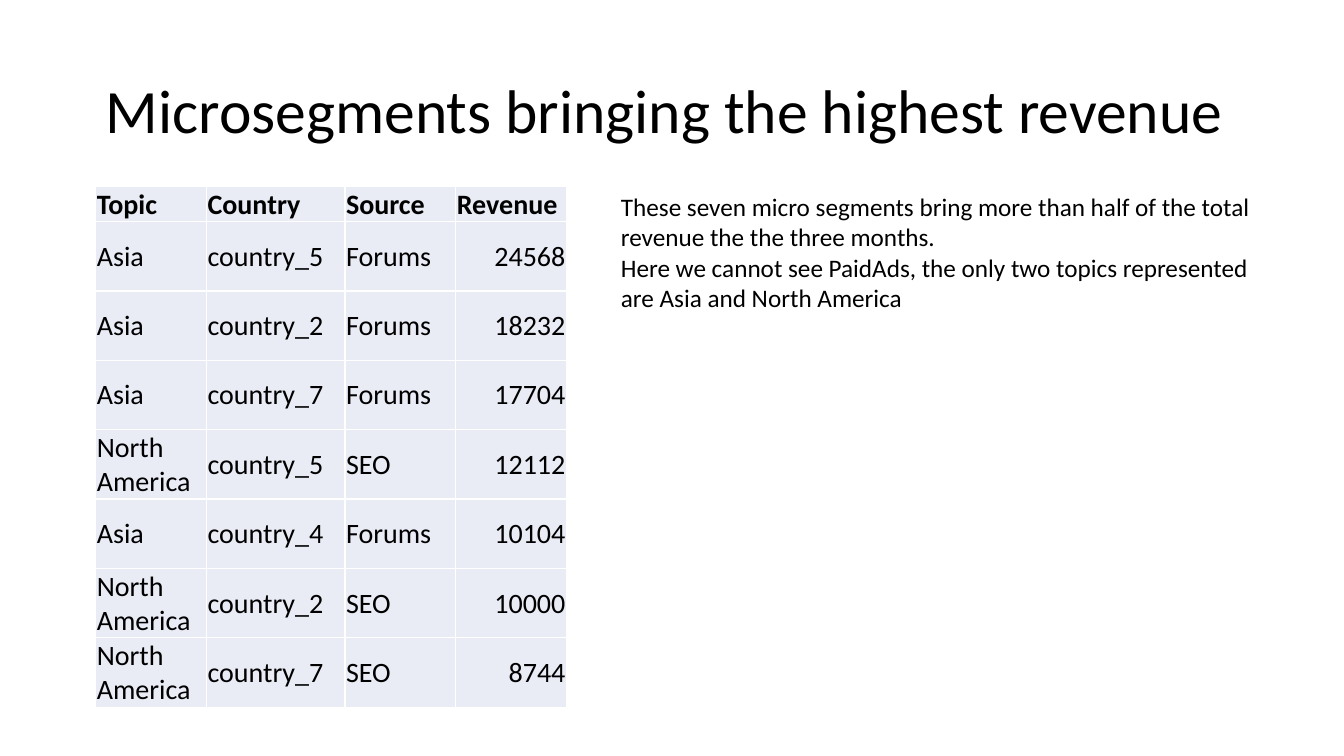
from pptx import Presentation, util as u
from pptx.dml.color import RGBColor
from pptx.enum import text
from pptx.oxml import parse_xml
from pptx.oxml.ns import nsdecls

FONT = "Calibri"
BLACK, WHITE, PALE_BLUE = "000000", "FFFFFF", "E9EBF5"
SLIDE_WIDTH, SLIDE_HEIGHT = u.Inches(13.33), u.Inches(7.5)
COLUMN_SHARES = (4, 5, 4, 4)
HEADER = ("Topic", "Country", "Source", "Revenue")
SEGMENTS = (
    ("Asia", "country_5", "Forums", 24568),
    ("Asia", "country_2", "Forums", 18232),
    ("Asia", "country_7", "Forums", 17704),
    ("North America", "country_5", "SEO", 12112),
    ("Asia", "country_4", "Forums", 10104),
    ("North America", "country_2", "SEO", 10000),
    ("North America", "country_7", "SEO", 8744),
)
COMMENTS = (
    "These seven micro segments bring more than half of the total revenue the the three months.",
    "Here we cannot see PaidAds, the only two topics represented are Asia and North America",
)


def area(left, top, width, height):
    """Turn percentages of the slide into a left, top, width and height."""
    return (int(SLIDE_WIDTH * left / 100), int(SLIDE_HEIGHT * top / 100),
            int(SLIDE_WIDTH * width / 100), int(SLIDE_HEIGHT * height / 100))


def paint(color_format, color):
    """Give a fill or font colour its hex value."""
    color_format.rgb = RGBColor.from_string(color)


def format_runs(paragraph, size, bold=False):
    """Format every run of a paragraph."""
    for run in paragraph.runs:
        run.font.name = FONT
        run.font.size = u.Pt(size)
        run.font.bold = bold
        paint(run.font.color, BLACK)


def add_title(slide, wording):
    """Fill and place the title placeholder."""
    title = slide.shapes.title
    title.left, title.top, title.width, title.height = area(7.13, 5.33, 86.27, 19.33)
    frame = title.text_frame
    frame.text = wording
    frame.vertical_anchor = text.MSO_ANCHOR.MIDDLE
    paragraph = frame.paragraphs[0]
    paragraph.alignment = text.PP_ALIGN.LEFT
    paragraph.line_spacing = 0.9
    format_runs(paragraph, 44)


def fill_cell(cell, value, is_header):
    """Write one table cell with its margins, borders and fill."""
    cell.text = str(value)
    cell.margin_left = cell.margin_right = cell.margin_top = u.Inches(0.01)
    cell.margin_bottom = 0
    cell.vertical_anchor = text.MSO_ANCHOR.BOTTOM if is_header else text.MSO_ANCHOR.MIDDLE
    paragraph = cell.text_frame.paragraphs[0]
    if isinstance(value, int):
        paragraph.alignment = text.PP_ALIGN.RIGHT
    format_runs(paragraph, 20, bold=is_header)
    for side in "LRTB":
        cell._tc.get_or_add_tcPr().append(parse_xml(
            f'<a:ln{side} {nsdecls("a")} w="{u.Pt(1)}"><a:solidFill>'
            f'<a:srgbClr val="{WHITE}"/></a:solidFill></a:ln{side}>'))
    cell.fill.solid()
    paint(cell.fill.fore_color, PALE_BLUE)


def add_segment_table(slide):
    """Add the revenue table, with body rows twice as high as the header."""
    rows = (HEADER, *SEGMENTS)
    row_shares = [1] + [2] * len(SEGMENTS)
    left, top, width, height = area(7.13, 24.67, 35.03, 68.67)
    table = slide.shapes.add_table(len(rows), len(HEADER), left, top, width, height).table
    for column, share in zip(table.columns, COLUMN_SHARES):
        column.width = width * share // sum(COLUMN_SHARES)
    for row_index, (row, share) in enumerate(zip(rows, row_shares)):
        table.rows[row_index].height = height * share // sum(row_shares)
        for column_index, value in enumerate(row):
            fill_cell(table.cell(row_index, column_index), value, row_index == 0)


def add_comments(slide):
    """Add the remarks beside the table."""
    frame = slide.shapes.add_textbox(*area(45.46, 24.67, 49.36, 17.47)).text_frame
    frame.word_wrap = True
    frame.auto_size = text.MSO_AUTO_SIZE.SHAPE_TO_FIT_TEXT
    frame.text = "\n".join(COMMENTS)
    for paragraph in frame.paragraphs:
        format_runs(paragraph, 18)


def main():
    """Build and save the slide."""
    presentation = Presentation()
    presentation.slide_width, presentation.slide_height = SLIDE_WIDTH, SLIDE_HEIGHT
    slide = presentation.slides.add_slide(presentation.slide_layouts[5])
    add_title(slide, "Microsegments bringing the highest revenue")
    add_segment_table(slide)
    add_comments(slide)
    presentation.save("out.pptx")


if __name__ == "__main__":
    main()
